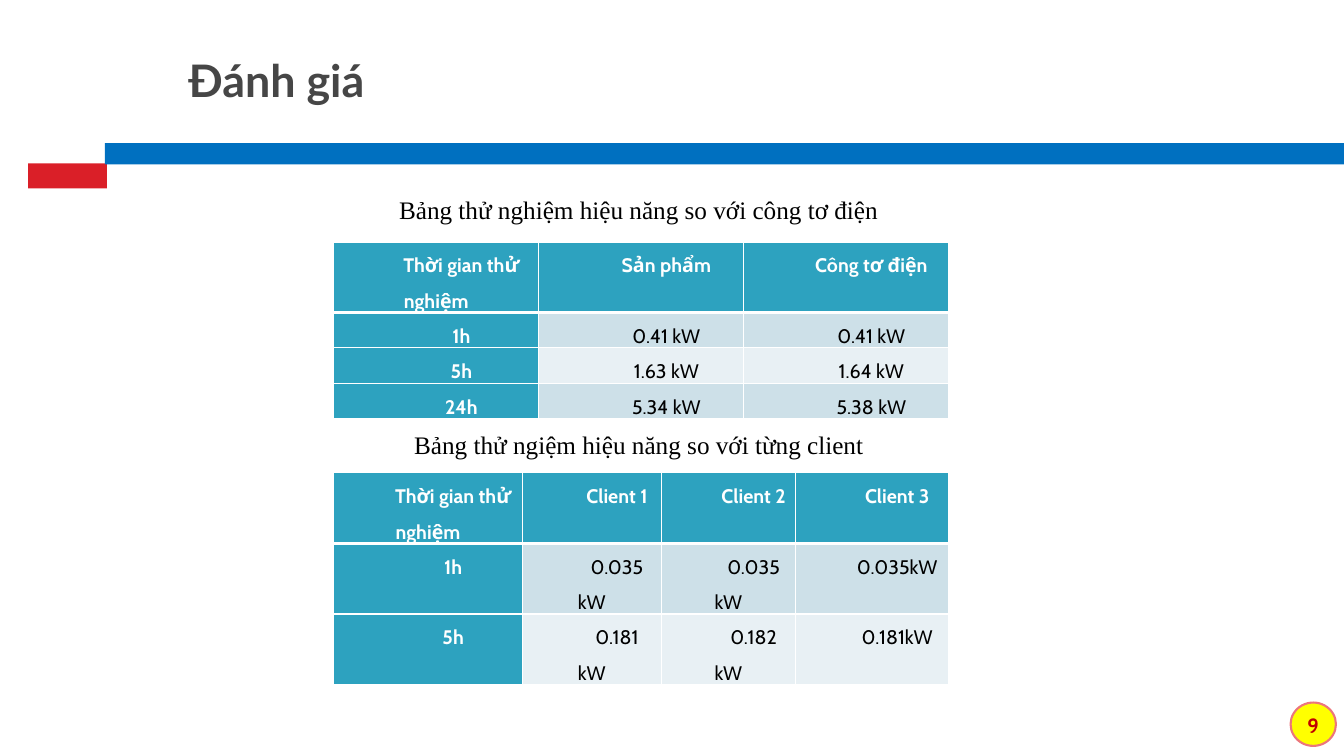
from lxml import etree
from pptx import Presentation, util as u
from pptx.dml.color import RGBColor
from pptx.enum import shapes, text
from pptx.oxml import ns

WHITE, BLACK, TEAL = "FFFFFF", "000000", "2DA2BF"
BANDS = ("CDE0E8", "E8F0F4")
LINE_H = 0.35  # one table text line: 14 pt at 1.5 spacing

METER_ROWS = [
    ("Thời gian thử nghiệm", "Sản phẩm", "Công tơ điện"),
    ("1h", "0.41 kW", "0.41 kW"),
    ("5h", "1.63 kW", "1.64 kW"),
    ("24h", "5.34 kW", "5.38 kW"),
]
CLIENT_ROWS = [
    ("Thời gian thử nghiệm", "Client 1", "Client 2", "Client 3"),
    ("1h", "0.035 kW", "0.035 kW", "0.035kW"),
    ("5h", "0.181 kW", "0.182 kW", "0.181kW"),
]


def rgb(color):
    return RGBColor.from_string(color)


def inches(*lengths):
    return [u.Inches(length) for length in lengths]


def style(p, size, font, color, bold=False, align=text.PP_ALIGN.LEFT):
    p.alignment = align
    p.font.size, p.font.name, p.font.bold = u.Pt(size), font, bold
    p.font.color.rgb = rgb(color)


def add_block(s, kind, box, fill, line=None):
    sp = s.shapes.add_shape(kind, *inches(*box))
    sp.shadow.inherit = False
    sp.fill.solid()
    sp.fill.fore_color.rgb = rgb(fill)
    if line:
        sp.line.color.rgb = rgb(line)
        sp.line.width = u.Pt(1.5)
    else:
        sp.line.fill.background()


def add_label(s, box, words, *font, wrap=False, **options):
    tf = s.shapes.add_textbox(*inches(*box)).text_frame
    tf.word_wrap = wrap
    p = tf.paragraphs[0]
    p.text = words
    style(p, *font, **options)


def set_borders(cell, top, bottom):
    """Draw white cell borders; top and bottom are widths in points."""
    tc_pr = cell._tc.get_or_add_tcPr()
    for side, width in (("L", 1), ("R", 1), ("T", top), ("B", bottom)):
        ln = etree.SubElement(tc_pr, ns.qn(f"a:ln{side}"), w=str(u.Pt(width)))
        fill = etree.SubElement(ln, ns.qn("a:solidFill"))
        etree.SubElement(fill, ns.qn("a:srgbClr"), val=WHITE)


def fill_cell(cell, words, row, col):
    heading = row == 0 or col == 0
    set_borders(cell, top=3 if row == 1 else 1, bottom=3 if row == 0 else 1)
    cell.fill.solid()
    cell.fill.fore_color.rgb = rgb(TEAL if heading else BANDS[(row - 1) % 2])
    cell.margin_left = cell.margin_right = u.Inches(0.07)
    cell.margin_top = cell.margin_bottom = 0
    p = cell.text_frame.paragraphs[0]
    p.text = words
    p.line_spacing = 1.5
    p._p.get_or_add_pPr().set("indent", str(u.Inches(0.5)))
    style(p, 14, "Cabin", WHITE if heading else BLACK, heading, text.PP_ALIGN.CENTER)


def add_results(s, left, top, col_widths, rows, body_lines):
    """Place a results table whose body rows hold body_lines lines of text."""
    line_counts = [2] + [body_lines] * (len(rows) - 1)
    box = inches(left, top, sum(col_widths), LINE_H * sum(line_counts))
    table = s.shapes.add_table(len(rows), len(col_widths), *box).table
    for column, width in zip(table.columns, col_widths):
        column.width = u.Inches(width)
    for row, (words, lines) in enumerate(zip(rows, line_counts)):
        table.rows[row].height = u.Inches(LINE_H * lines)
        for col, word in enumerate(words):
            fill_cell(table.cell(row, col), word, row, col)


def add_header(s, width):
    rect = shapes.MSO_SHAPE.RECTANGLE
    add_block(s, rect, (0.28, 1.62, 0.78, 0.25), "DA1F28")
    add_block(s, rect, (1.04, 1.42, width - 1.04, 0.21), "0070C0")
    add_label(s, (1.77, 0.47, 9.98, 0.82), "Đánh giá", 32, "Lato", "464646",
              bold=True, wrap=True)


def add_page_badge(s, left, top, number):
    add_block(s, shapes.MSO_SHAPE.OVAL, (left, top, 0.45, 0.43), "FFFF00", "EC767C")
    add_label(s, (left, top + 0.05, 0.45, 0.35), number, 14.7, "Cabin", "C00000",
              bold=True, align=text.PP_ALIGN.CENTER)


def add_evaluation(s, left):
    caption = (18, "Times New Roman", BLACK)
    add_label(s, (left + 0.55, 1.88, 5, 0.4),
              "Bảng thử nghiệm hiệu năng so với công tơ điện", *caption)
    add_results(s, left, 2.4, [6.1 / 3] * 3, METER_ROWS, body_lines=1)
    add_label(s, (left + 0.7, 4.21, 4.7, 0.4),
              "Bảng thử ngiệm hiệu năng so với từng client", *caption)
    add_results(s, left, 4.69, [1.87, 1.38, 1.33, 1.52], CLIENT_ROWS, body_lines=2)


def main():
    prs = Presentation()
    prs.slide_width, prs.slide_height = inches(13.33, 7.5)
    s = prs.slides.add_slide(prs.slide_layouts[6])
    add_header(s, 13.33)
    add_page_badge(s, 12.8, 6.97, "9")
    add_evaluation(s, 3.31)
    prs.save("out.pptx")


if __name__ == "__main__":
    main()
